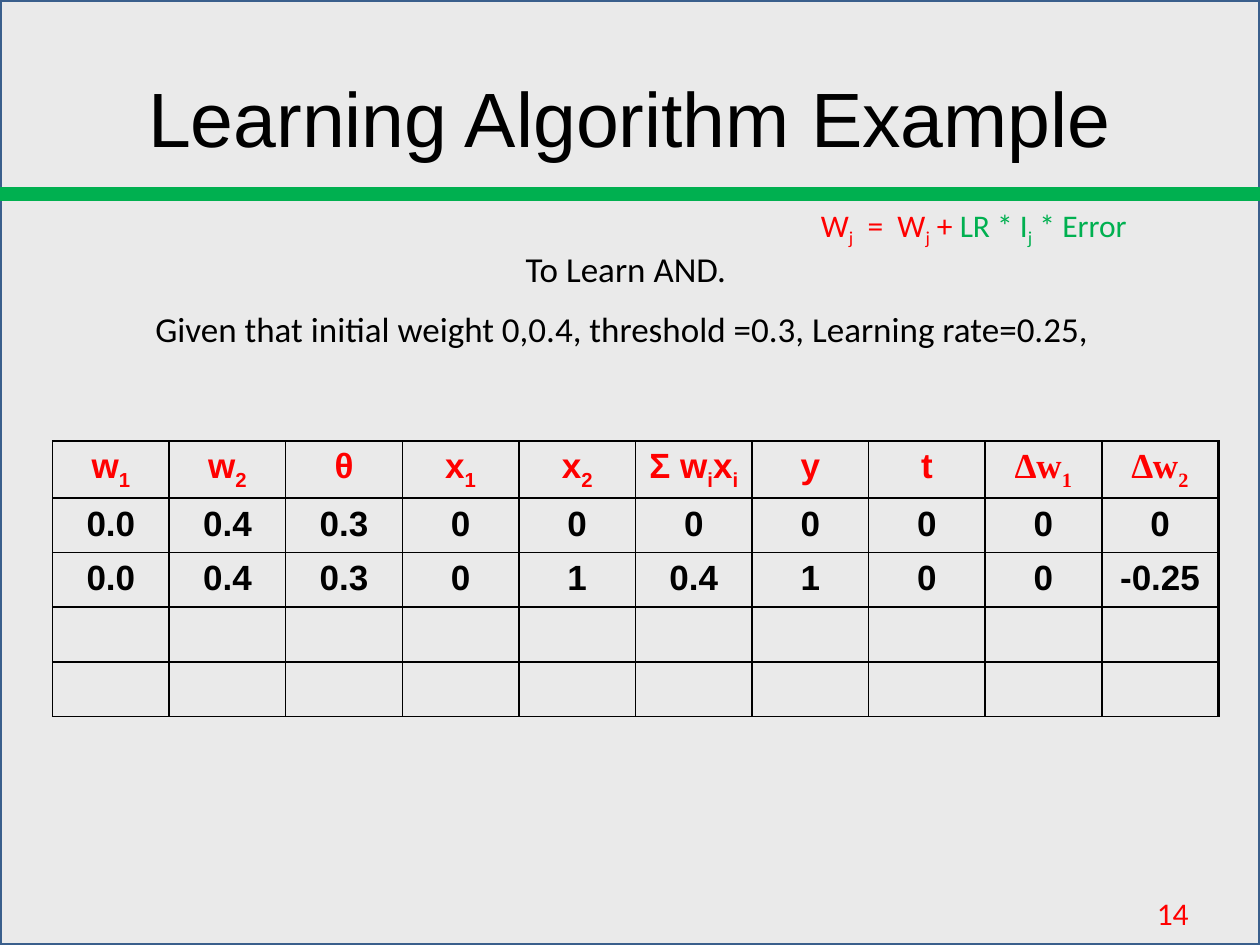
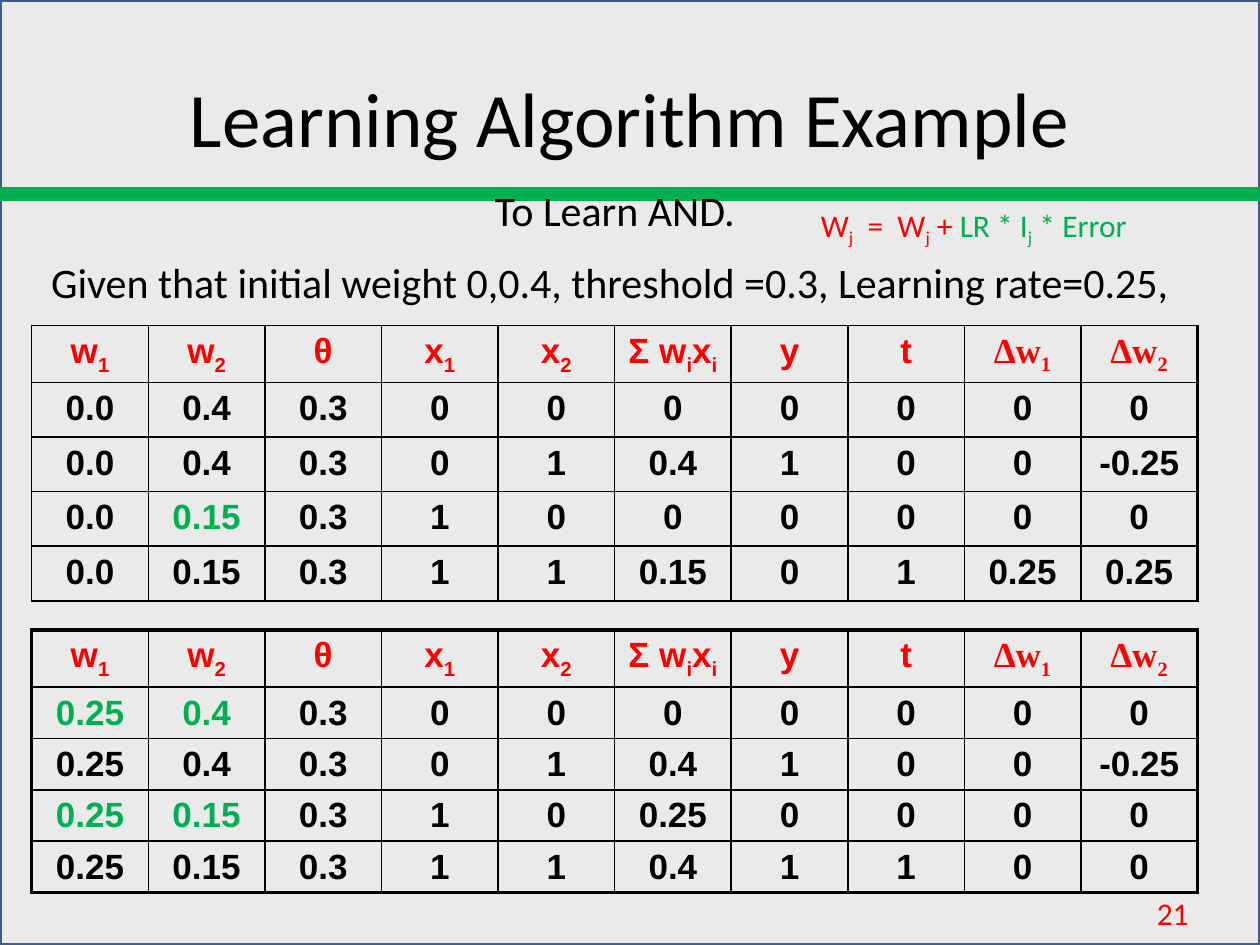
import pptx
import pptx.dml.color
import pptx.enum.shapes
import pptx.enum.text
import pptx.oxml
import pptx.oxml.ns
import pptx.util

Cm, Pt = pptx.util.Cm, pptx.util.Pt
RGBColor = pptx.dml.color.RGBColor
CENTER = pptx.enum.text.PP_ALIGN.CENTER
MIDDLE = pptx.enum.text.MSO_ANCHOR.MIDDLE
RECT = pptx.enum.shapes.MSO_SHAPE.RECTANGLE

BLACK = RGBColor(0x00, 0x00, 0x00)
RED = RGBColor(0xFF, 0x00, 0x00)
GREEN = RGBColor(0x00, 0xB0, 0x50)
GREY = RGBColor(0xEA, 0xEA, 0xEA)
NAVY = RGBColor(0x3A, 0x5F, 0x8C)

SLIDE_W, SLIDE_H = 25.4, 19.05
COL_W = 2.35
THIN, THICK = 1, 2.25

# An underscore makes the next character a subscript.
HEADERS = ["w_1", "w_2", "θ", "x_1", "x_2", "Σ w_ix_i", "y", "t", "∆w_1", "∆w_2"]
PROBLEM = [
    "To Learn AND. ",
    "Given that initial weight 0,0.4, threshold =0.3, Learning rate=0.25,  ",
]
FIRST_STEPS = [
    "0.0 0.4 0.3 0 0 0 0 0 0 0",
    "0.0 0.4 0.3 0 1 0.4 1 0 0 -0.25",
]
FIRST_EPOCH = FIRST_STEPS + [
    "0.0 0.15 0.3 1 0 0 0 0 0 0",
    "0.0 0.15 0.3 1 1 0.15 0 1 0.25 0.25",
]
SECOND_EPOCH = [
    "0.25 0.4 0.3 0 0 0 0 0 0 0",
    "0.25 0.4 0.3 0 1 0.4 1 0 0 -0.25",
    "0.25 0.15 0.3 1 0 0.25 0 0 0 0",
    "0.25 0.15 0.3 1 1 0.4 1 1 0 0",
]


def add_runs(p, text, color=BLACK, size=20, name="Calibri", bold=False):
    """Add text to a paragraph, with the character after each underscore lowered."""
    first, *rest = text.split("_")
    pieces = [(first, False)]
    for part in rest:
        pieces += [(part[0], True), (part[1:], False)]
    for piece, lowered in pieces:
        if not piece:
            continue
        r = p.add_run()
        r.text = piece
        r.font.color.rgb = color
        for key, value in {"size": Pt(size), "name": name, "bold": bold}.items():
            setattr(r.font, key, value)
        if lowered:
            r._r.get_or_add_rPr().set("baseline", "-25000")


def add_box(slide, x, y, w, h):
    tf = slide.shapes.add_textbox(Cm(x), Cm(y), Cm(w), Cm(h)).text_frame
    tf.word_wrap = True
    return tf


def add_rect(slide, x, y, w, h, fill, line):
    sp = slide.shapes.add_shape(RECT, Cm(x), Cm(y), Cm(w), Cm(h))
    sp.shadow.inherit = False
    sp.fill.solid()
    sp.fill.fore_color.rgb = fill
    sp.line.color.rgb = line
    sp.line.width = Pt(2)


def add_frame(prs, title_font, number):
    """Add a slide with the background, green band, page number and title."""
    slide = prs.slides.add_slide(prs.slide_layouts[6])
    add_rect(slide, 0, 0, SLIDE_W, SLIDE_H, GREY, NAVY)
    add_rect(slide, 0, 3.81, SLIDE_W, 0.21, GREEN, GREEN)
    tf = add_box(slide, 23.07, 17.9, 1.7, 1.02)
    add_runs(tf.paragraphs[0], number, RED, 18)
    tf = add_box(slide, 1.27, 0.76, 22.86, 3.18)
    tf.vertical_anchor = MIDDLE
    p = tf.paragraphs[0]
    p.alignment = CENTER
    add_runs(p, "Learning Algorithm Example", size=44, name=title_font)
    return slide


def add_problem(slide, x, y, h, size):
    tf = add_box(slide, x, y, 23.7, h)
    for i, text in enumerate(PROBLEM):
        p = tf.add_paragraph() if i else tf.paragraphs[0]
        p.alignment = CENTER
        p.space_before = Pt(size / 2 if i else 0)
        add_runs(p, text, size=size)


def add_update_rule(slide, x, y):
    p = add_box(slide, x, y, 8.46, 1.02).paragraphs[0]
    add_runs(p, "W_j  =  W_j + ", RED, 18)
    add_runs(p, "LR * I_j * Error", GREEN, 18)


def set_borders(cell, widths):
    """Draw the left, right, top and bottom borders, widths in points."""
    tcPr = cell._tc.get_or_add_tcPr()
    for i, (side, width) in enumerate(zip("LRTB", widths)):
        ln = pptx.oxml.parse_xml(
            f'<a:ln{side} {pptx.oxml.ns.nsdecls("a")} w="{Pt(width)}">'
            f'<a:solidFill><a:srgbClr val="{BLACK}"/></a:solidFill></a:ln{side}>')
        tcPr.insert(i, ln)


def add_weight_table(slide, x, y, steps, updated=(), row_h=1.1, boxed=False):
    """Add a five-row table; updated holds the (row, column) of green values."""
    rows, cols = 5, len(HEADERS)
    table = slide.shapes.add_table(
        rows, cols, Cm(x), Cm(y), Cm(cols * COL_W), Cm(rows * row_h)).table
    table.first_row = table.horz_banding = False
    values = [HEADERS] + [step.split() for step in steps]
    edge = THICK if boxed else THIN
    for i in range(rows):
        for j in range(cols):
            cell = table.cell(i, j)
            cell.fill.background()
            cell.margin_bottom = Cm(0.06)
            set_borders(cell, [edge if j == 0 else THIN,
                               THICK if j == cols - 1 else THIN,
                               edge if i == 0 else THIN,
                               edge if i == rows - 1 else THIN])
            if i >= len(values):
                continue
            text = values[i][j]
            color = RED if i == 0 else GREEN if (i, j) in updated else BLACK
            font = "Times New Roman" if text.startswith("∆") else "Arial"
            p = cell.text_frame.paragraphs[0]
            p.alignment = CENTER
            add_runs(p, text, color, name=font, bold=True)


def add_first_steps_slide(prs):
    slide = add_frame(prs, "Arial", "14")
    add_weight_table(slide, 1.06, 8.89, FIRST_STEPS)
    add_problem(slide, 0.85, 4.87, 2.39, 20)
    add_update_rule(slide, 16.3, 4.02)


def add_epochs_slide(prs):
    slide = add_frame(prs, "Calibri", "21")
    add_weight_table(slide, 0.64, 6.56, FIRST_EPOCH, {(3, 1)})
    add_weight_table(slide, 0.64, 12.7, SECOND_EPOCH,
                     {(1, 0), (1, 1), (3, 0), (3, 1)}, row_h=1.03, boxed=True)
    add_problem(slide, 0.64, 3.6, 2.82, 24)
    add_update_rule(slide, 16.3, 4.02)


def main():
    prs = pptx.Presentation()
    prs.slide_width, prs.slide_height = Cm(SLIDE_W), Cm(SLIDE_H)
    add_first_steps_slide(prs)
    add_epochs_slide(prs)
    prs.save("out.pptx")


if __name__ == "__main__":
    main()
